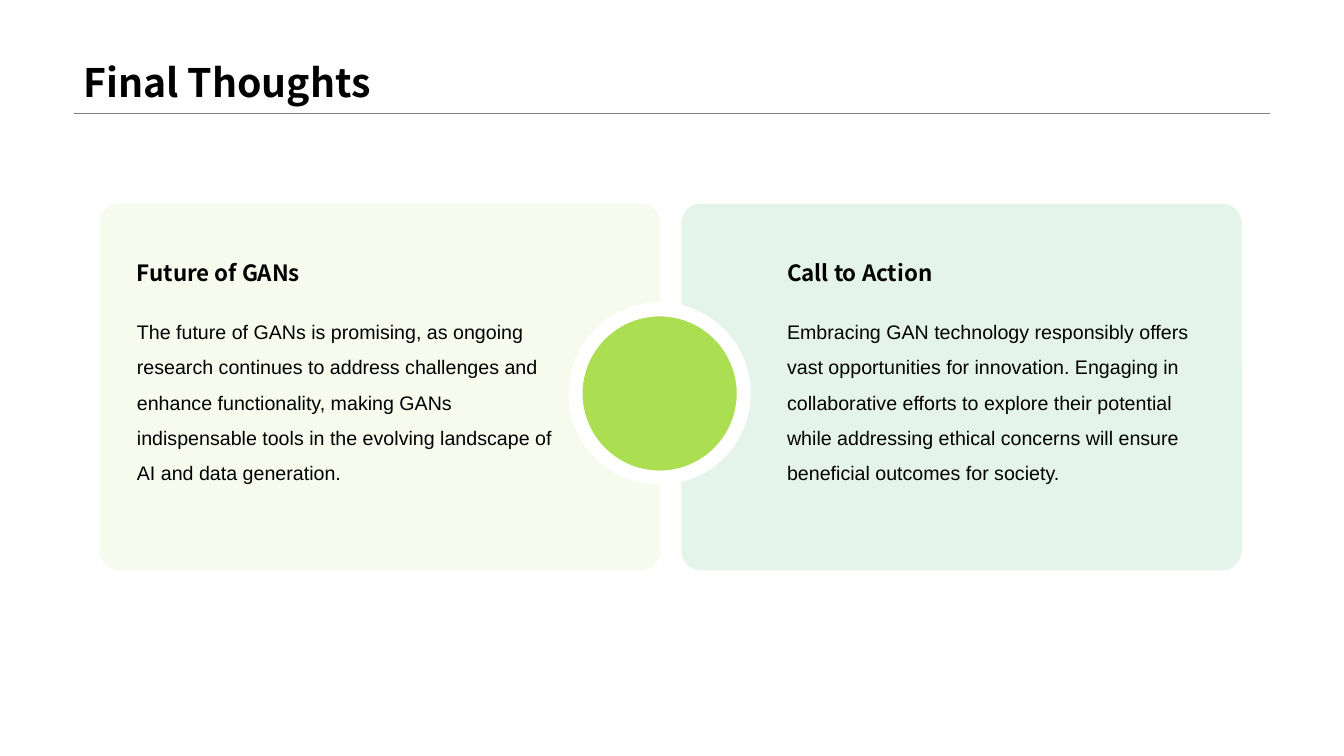
from pptx import Presentation
from pptx.dml.color import RGBColor
from pptx.enum import shapes, text
from pptx.oxml import parse_xml
from pptx.oxml.ns import nsdecls, qn
from pptx.util import Pt

# Content
TITLE = "Final Thoughts"
CARDS = [
    {"heading": "Future of GANs", "fill": "lime", "left": 71.3, "text_left": 90.7,
     "body": "The future of GANs is promising, as ongoing research continues to address "
             "challenges and enhance functionality, making GANs indispensable tools in "
             "the evolving landscape of AI and data generation."},
    {"heading": "Call to Action", "fill": "green", "left": 486.7, "text_left": 555.1,
     "body": "Embracing GAN technology responsibly offers vast opportunities for "
             "innovation. Engaging in collaborative efforts to explore their potential "
             "while addressing ethical concerns will ensure beneficial outcomes for society."},
]

THEME = {
    "lime": RGBColor(0xAB, 0xDE, 0x51), "green": RGBColor(0x04, 0x98, 0x3B),
    "white": RGBColor(255, 255, 255), "black": RGBColor(0, 0, 0),
    "rule": RGBColor(0x80, 0x80, 0x80),
    "heading_font": "Noto Sans CJK SC", "body_font": "Arial",
    "title_size": 28, "heading_size": 16, "body_size": 14,
}

# Layout in points
CARD_TOP, CARD_WIDTH, CARD_HEIGHT = 145.4, 400.3, 262.1
HEADING_TOP, HEADING_WIDTH, HEADING_HEIGHT = 181.4, 307.4, 26.6
BODY_TOP, BODY_WIDTH, BODY_HEIGHT = 216.7, 316.1, 105.8
RULE_LEFT, RULE_RIGHT, RULE_Y = 52.6, 907.2, 80.8
CIRCLE_LEFT, CIRCLE_TOP, CIRCLE_SIZE = 411.1, 221, 120.2


def add_text(page, words, area, size, heading=True, spacing=None):
    box = page.shapes.add_textbox(*(Pt(value) for value in area))
    frame = box.text_frame
    frame.word_wrap = True
    frame.vertical_anchor = text.MSO_ANCHOR.BOTTOM if heading else text.MSO_ANCHOR.TOP
    frame.text = words
    para = frame.paragraphs[0]
    para.line_spacing = spacing
    font = para.runs[0].font
    font.name = THEME["heading_font" if heading else "body_font"]
    font.size, font.bold = Pt(THEME[size]), heading
    font.color.rgb = THEME["black"]
    return box


def add_filled(page, kind, area, colour):
    shape = page.shapes.add_shape(kind, *(Pt(value) for value in area))
    shape.shadow.inherit = False
    shape.fill.solid()
    shape.fill.fore_color.rgb = THEME[colour]
    return shape


def add_card(page, card):
    panel = add_filled(page, shapes.MSO_SHAPE.ROUNDED_RECTANGLE,
                       (card["left"], CARD_TOP, CARD_WIDTH, CARD_HEIGHT), card["fill"])
    panel.adjustments[0] = 0.054
    panel.line.fill.background()
    # 10% opacity
    colour = panel.fill._xPr.find(qn("a:solidFill"))[0]
    colour.append(parse_xml(f'<a:alpha {nsdecls("a")} val="10000"/>'))
    left = card["text_left"]
    add_text(page, card["heading"], (left, HEADING_TOP, HEADING_WIDTH, HEADING_HEIGHT),
             "heading_size")
    body = add_text(page, card["body"], (left, BODY_TOP, BODY_WIDTH, BODY_HEIGHT),
                    "body_size", heading=False, spacing=1.5)
    body.text_frame.auto_size = text.MSO_AUTO_SIZE.SHAPE_TO_FIT_TEXT


def main():
    deck = Presentation()
    deck.slide_width, deck.slide_height = Pt(960), Pt(540)
    page = deck.slides.add_slide(deck.slide_layouts[6])

    # Title and rule
    rule = page.shapes.add_connector(shapes.MSO_CONNECTOR.STRAIGHT, Pt(RULE_LEFT),
                                     Pt(RULE_Y), Pt(RULE_RIGHT), Pt(RULE_Y))
    rule.line.color.rgb, rule.line.width = THEME["rule"], Pt(0.25)
    rule._element.spPr.append(parse_xml(f'<a:effectLst {nsdecls("a")}/>'))
    add_text(page, TITLE, (RULE_LEFT, 0, RULE_RIGHT - RULE_LEFT, 79.2),
             "title_size", spacing=0.9)

    # Cards, with the circle joining them
    for card in CARDS:
        add_card(page, card)
    circle = add_filled(page, shapes.MSO_SHAPE.OVAL,
                        (CIRCLE_LEFT, CIRCLE_TOP, CIRCLE_SIZE, CIRCLE_SIZE), "lime")
    circle.line.color.rgb, circle.line.width = THEME["white"], Pt(10)

    deck.save("out.pptx")


if __name__ == "__main__":
    main()
